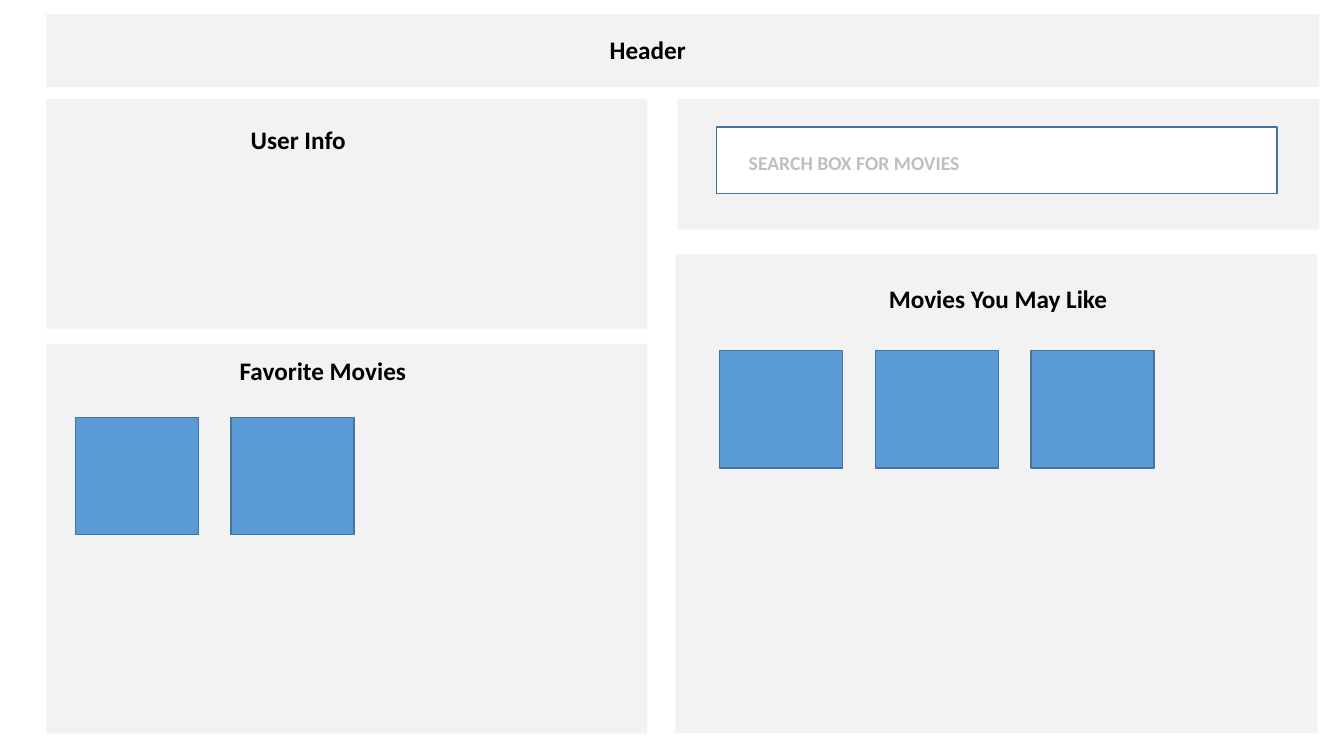
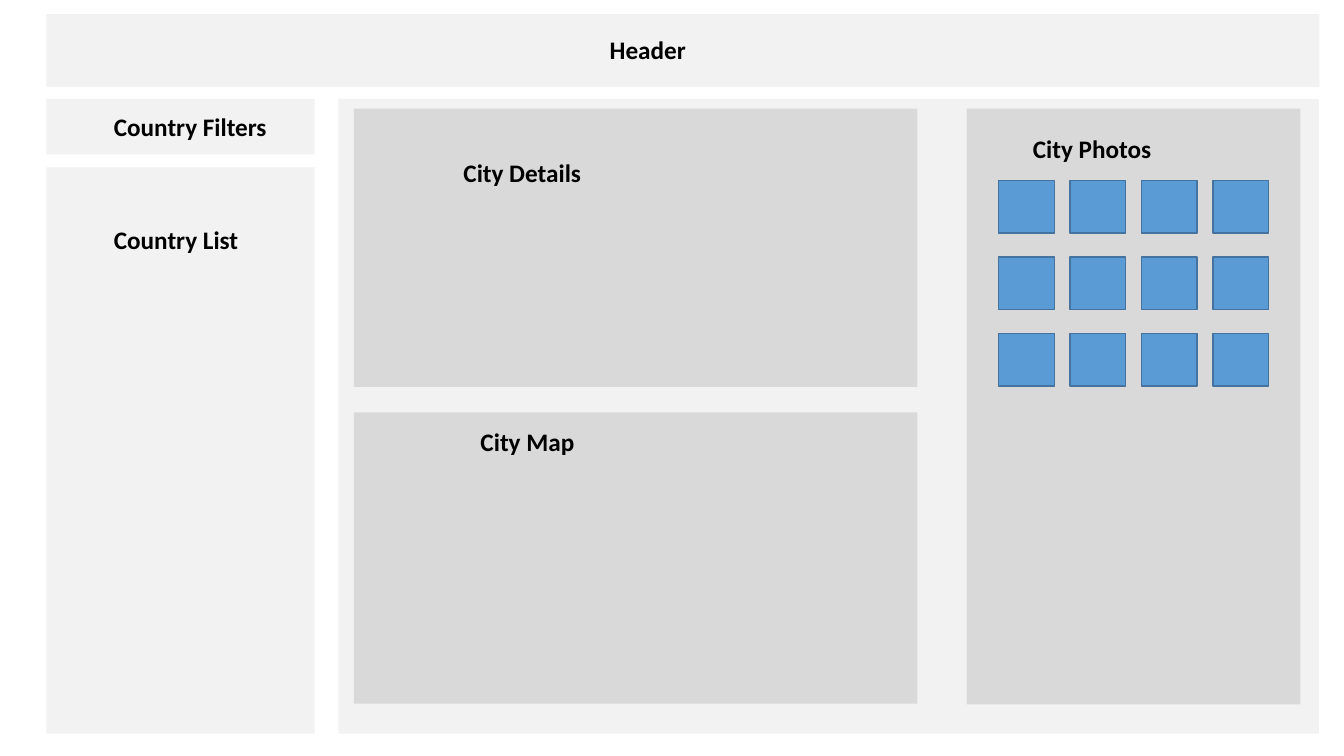
"""Two page wireframes: a movie dashboard and a city explorer."""
from dataclasses import dataclass
from itertools import product
from typing import Optional

from pptx import Presentation
from pptx import util as u
from pptx.dml import color
from pptx.enum import shapes, text

COLOURS = {
    "panel": "F2F2F2",
    "inner": "D9D9D9",
    "tile": "5B9BD5",
    "outline": "43739E",
    "white": "FFFFFF",
    "text": "000000",
    "hint": "BFBFBF",
}
FONT = "Calibri"
TITLE_ONLY = 5


@dataclass(frozen=True)
class Box:
    """A rectangle, with lengths in centimetres."""
    left: float
    top: float
    width: float
    height: float
    fill: str = "panel"
    line: Optional[str] = None


@dataclass(frozen=True)
class Label:
    """A bold line of text, with lengths in centimetres."""
    words: str
    left: float
    top: float
    width: float
    height: float = 1.02
    wrap: bool = True
    size: int = 18
    colour: str = "text"


@dataclass(frozen=True)
class TileGrid:
    """Equal tiles whose pitch is the step from one tile to the next."""
    first: Box
    columns: int
    rows: int
    pitch_x: float
    pitch_y: float = 0


@dataclass(frozen=True)
class Page:
    """All that one slide shows below its header."""
    boxes: list[Box]
    grids: list[TileGrid]
    labels: list[Label]


HEADER_BAND = Box(1.17, 0.36, 32.08, 1.83)
HEADER = Label("Header", 15.11, 0.74, 3)

MOVIES = Page(
    boxes=[
        Box(17.07, 2.49, 16.18, 3.3),
        Box(18.06, 3.2, 14.12, 1.68, "white", "outline"),
        Box(1.17, 2.49, 15.14, 5.79),
        Box(1.17, 8.66, 15.14, 9.83),
        Box(17.02, 6.4, 16.18, 12.07),
    ],
    grids=[
        TileGrid(Box(1.9, 10.52, 3.1, 2.95, "tile", "outline"), 2, 1, 3.92),
        TileGrid(Box(18.14, 8.84, 3.1, 2.95, "tile", "outline"), 3, 1, 3.92),
    ],
    labels=[
        Label("SEARCH BOX FOR MOVIES", 18.62, 3.68, 6.68, 0.86, size=14, colour="hint"),
        Label("User Info", 6.07, 3.02, 2.92, wrap=False),
        Label("Favorite Movies", 5.79, 8.84, 4.72, wrap=False),
        Label("Movies You May Like", 22.15, 7.01, 6.07, wrap=False),
    ],
)

CITIES = Page(
    boxes=[
        Box(1.17, 2.49, 6.76, 1.4),
        Box(1.17, 4.22, 6.76, 14.27),
        Box(8.53, 2.49, 24.71, 16),
        Box(8.92, 2.74, 14.2, 7.01, "inner"),
        Box(8.92, 10.39, 14.2, 7.34, "inner"),
        Box(24.36, 2.74, 8.41, 15.01, "inner"),
    ],
    grids=[TileGrid(Box(25.17, 4.55, 1.4, 1.32, "tile", "outline"), 4, 3, 1.8, 1.93)],
    labels=[
        Label("Country Filters", 2.62, 2.69, 4.45),
        Label("Country List", 2.62, 5.54, 4.45),
        Label("City Details", 11.43, 3.84, 7.39),
        Label("City Map", 11.86, 10.62, 4.45),
        Label("City Photos", 25.78, 3.23, 5.46),
    ],
)


def rgb(name: str) -> color.RGBColor:
    """Look up a named colour."""
    return color.RGBColor.from_string(COLOURS[name])


def add_box(slide, box: Box) -> None:
    """Draw a filled rectangle, outlined if it has a line colour."""
    shape = slide.shapes.add_shape(
        shapes.MSO_SHAPE.RECTANGLE,
        u.Cm(box.left), u.Cm(box.top), u.Cm(box.width), u.Cm(box.height))
    shape.shadow.inherit = False
    shape.fill.solid()
    shape.fill.fore_color.rgb = rgb(box.fill)
    if box.line is None:
        shape.line.fill.background()
    else:
        shape.line.color.rgb = rgb(box.line)
        shape.line.width = u.Pt(1)


def add_grid(slide, grid: TileGrid) -> None:
    """Draw the tiles row by row."""
    tile = grid.first
    for row, column in product(range(grid.rows), range(grid.columns)):
        add_box(slide, Box(tile.left + column * grid.pitch_x,
                           tile.top + row * grid.pitch_y,
                           tile.width, tile.height, tile.fill, tile.line))


def write_label(shape, label: Label) -> None:
    """Place a text shape and write its label."""
    shape.left, shape.top = u.Cm(label.left), u.Cm(label.top)
    shape.width, shape.height = u.Cm(label.width), u.Cm(label.height)
    frame = shape.text_frame
    frame.word_wrap = label.wrap
    frame.auto_size = text.MSO_AUTO_SIZE.SHAPE_TO_FIT_TEXT
    frame.vertical_anchor = text.MSO_ANCHOR.TOP
    paragraph = frame.paragraphs[0]
    paragraph.alignment = text.PP_ALIGN.LEFT
    run = paragraph.add_run()
    run.text = label.words
    run.font.name = FONT
    run.font.size = u.Pt(label.size)
    run.font.bold = True
    run.font.color.rgb = rgb(label.colour)


def add_header(slide) -> None:
    """Draw the shared band with the slide title in front of it."""
    add_box(slide, HEADER_BAND)
    title = slide.shapes.title
    write_label(title, HEADER)
    title.element.getparent().append(title.element)


def add_page(presentation, page: Page) -> None:
    """Add one slide from back to front."""
    slide = presentation.slides.add_slide(presentation.slide_layouts[TITLE_ONLY])
    add_header(slide)
    for box in page.boxes:
        add_box(slide, box)
    for grid in page.grids:
        add_grid(slide, grid)
    for label in page.labels:
        write_label(slide.shapes.add_textbox(0, 0, 0, 0), label)


def main() -> None:
    """Build and save the presentation."""
    presentation = Presentation()
    presentation.slide_width, presentation.slide_height = u.Cm(33.87), u.Cm(19.05)
    for page in (MOVIES, CITIES):
        add_page(presentation, page)
    presentation.save("out.pptx")


main()
